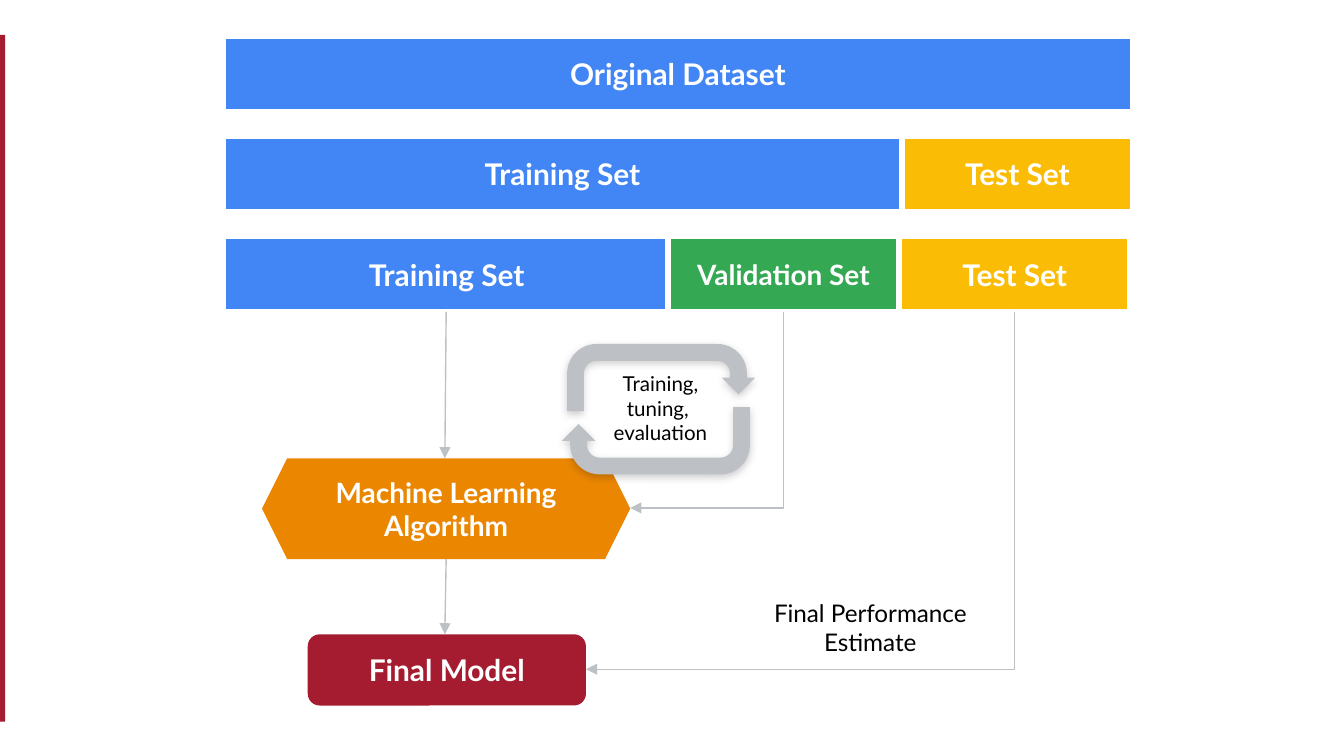
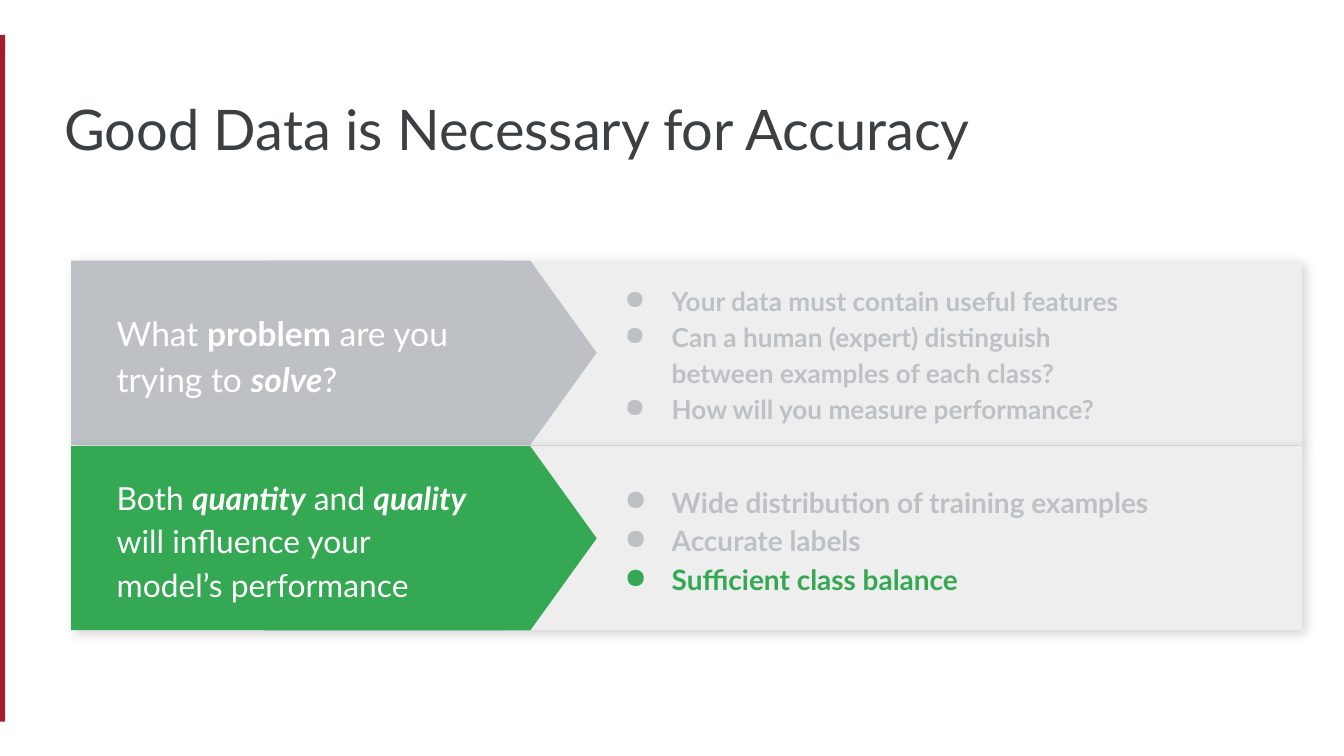
from lxml import etree
from pptx import Presentation
from pptx.dml.color import RGBColor
from pptx.enum.shapes import MSO_CONNECTOR, MSO_SHAPE
from pptx.enum.text import MSO_ANCHOR, PP_ALIGN
from pptx.oxml.ns import qn
from pptx.util import Inches, Pt

RECTANGLE = MSO_SHAPE.RECTANGLE
ROUNDED = MSO_SHAPE.ROUNDED_RECTANGLE
HEXAGON = MSO_SHAPE.HEXAGON
UTURN = MSO_SHAPE.U_TURN_ARROW
POINTER = MSO_SHAPE.FLOWCHART_OFFPAGE_CONNECTOR
STRAIGHT, ELBOW = MSO_CONNECTOR.STRAIGHT, MSO_CONNECTOR.ELBOW
LEFT, CENTER = PP_ALIGN.LEFT, PP_ALIGN.CENTER
TOP, MIDDLE = MSO_ANCHOR.TOP, MSO_ANCHOR.MIDDLE

COLUMNS, ROWS = 100, 56.25
BLUE, YELLOW, GREEN, ORANGE = "4285F4", "FBBC05", "34A853", "EA8600"
CRIMSON, GRAY, PALE, DARK = "A51C30", "BDC1C6", "EEEEEE", "3C4043"
WHITE, BLACK = "FFFFFF", "000000"

# opacity in percent, blur and distance in points, direction in degrees
ARROW_SHADOW = (20, 4.5, 1.5, 90)
PANEL_SHADOW = (17, 5.6, 2.2, 45)


def color(value):
    return RGBColor.from_string(value)


def child(parent, tag, **attributes):
    values = {name: str(value) for name, value in attributes.items()}
    return etree.SubElement(parent, qn(tag), values)


class Board:
    """Holds the shared style and the slide being drawn, on a 100-column grid."""

    font = "Lato"

    def __init__(self):
        self.deck = Presentation()
        self.deck.slide_width = Inches(10)
        self.deck.slide_height = Inches(5.625)
        self.page = None

    def x(self, columns):
        return round(self.deck.slide_width * columns / COLUMNS)

    def y(self, rows):
        return round(self.deck.slide_height * rows / ROWS)

    def place(self, left, top, width, height):
        return self.x(left), self.y(top), self.x(width), self.y(height)

    def new_page(self):
        self.page = self.deck.slides.add_slide(self.deck.slide_layouts[6])
        self.shape(RECTANGLE, (-0.2, 2.6, 0.6, 51.1), CRIMSON)

    def shape(self, kind, area, fill, outline=None, shadow=None, rotation=0):
        box = self.page.shapes.add_shape(kind, *self.place(*area))
        box.rotation = rotation
        box.fill.solid()
        box.fill.fore_color.rgb = color(fill)
        if outline:
            box.line.color.rgb = color(outline)
            box.line.width = Pt(3)
        else:
            box.line.fill.background()
        box.shadow.inherit = False
        if shadow:
            self.cast_shadow(box, *shadow)
        return box

    def cast_shadow(self, box, opacity, blur, distance, direction):
        effects = box.element.spPr.find(qn("a:effectLst"))
        outer = child(effects, "a:outerShdw", blurRad=Pt(blur), dist=Pt(distance),
                      dir=direction * 60000, algn="bl", rotWithShape=0)
        tint = child(outer, "a:srgbClr", val=BLACK)
        child(tint, "a:alpha", val=opacity * 1000)

    def label(self, kind, area, fill, text, size=16, outline=None):
        box = self.shape(kind, area, fill, outline)
        self.set_text(box, [text], size, WHITE, CENTER, bold=True)

    def text(self, area, paragraphs, size, ink, align=LEFT, **style):
        box = self.page.shapes.add_textbox(*self.place(*area))
        self.set_text(box, paragraphs, size, ink, align, **style)

    def set_text(self, box, paragraphs, size, ink, align, bold=None, spacing=None,
                 anchor=MIDDLE, bullets=False):
        """Each paragraph is a string or a list of (text, style) spans,
        where the style is "", "b" or "bi"; ink is one colour or one for each."""
        frame = box.text_frame
        frame.word_wrap = True
        frame.vertical_anchor = anchor
        frame.margin_left = frame.margin_right = Inches(0.1)
        frame.margin_top = frame.margin_bottom = Inches(0.1)
        inks = [ink] * len(paragraphs) if isinstance(ink, str) else ink
        for index, (content, tone) in enumerate(zip(paragraphs, inks)):
            para = frame.add_paragraph() if index else frame.paragraphs[0]
            para.alignment = align
            if spacing:
                para.line_spacing = spacing
            if bullets:
                self.bullet(para, tone)
            para.font.name = self.font
            para.font.size = Pt(size)
            para.font.bold = bold
            para.font.color.rgb = color(tone)
            if isinstance(content, str):
                para.text = content
                continue
            for words, style in content:
                span = para.add_run()
                span.text = words
                if style:
                    span.font.bold = "b" in style
                    span.font.italic = "i" in style

    def bullet(self, para, tone):
        properties = para._p.get_or_add_pPr()
        properties.set("marL", str(Inches(0.5)))
        properties.set("indent", str(Inches(-0.35)))
        child(child(properties, "a:buClr"), "a:srgbClr", val=tone)
        child(properties, "a:buChar", char="●")

    def arrow(self, start, end, kind=STRAIGHT):
        (x1, y1), (x2, y2) = start, end
        line = self.page.shapes.add_connector(
            kind, self.x(x1), self.y(y1), self.x(x2), self.y(y2))
        line.line.color.rgb = color(GRAY)
        line.line.width = Pt(0.75)
        properties = line.element.spPr
        child(properties.find(qn("a:ln")), "a:tailEnd", type="triangle")
        child(properties, "a:effectLst")
        return line

    def down_left_arrow(self, start, end):
        """One bend: straight down from start, then left to end."""
        (x1, y1), (x2, y2) = start, end
        run, drop = x1 - x2, y2 - y1
        left, top = (x1 + x2 - drop) / 2, (y1 + y2 - run) / 2
        line = self.arrow((left, top), (left + drop, top + run), ELBOW)
        properties = line.element.spPr
        properties.find(qn("a:xfrm")).set("rot", str(90 * 60000))
        properties.find(qn("a:prstGeom")).set("prst", "bentConnector2")


def draw_data_split(board):
    board.new_page()
    left, bar_height, row_step, small = 16.6, 5.6, 7.45, 17.2
    bars = [
        (0, left, 67.7, BLUE, "Original Dataset", 16),
        (1, left, 50.5, BLUE, "Training Set", 16),
        (1, 67.1, small, YELLOW, "Test Set", 16),
        (2, left, 33.3, BLUE, "Training Set", 16),
        (2, 66.9, small, YELLOW, "Test Set", 16),
        (2, 49.7, small, GREEN, "Validation Set", 15),
    ]
    for row, start, width, fill, name, size in bars:
        area = (start, 2.7 + row * row_step, width, bar_height)
        board.label(RECTANGLE, area, fill, name, size, WHITE)

    board.label(HEXAGON, (19.5, 34.1, 27.4, 7.5), ORANGE,
                "Machine Learning Algorithm", 15)
    board.label(ROUNDED, (22.9, 47.2, 20.7, 5.3), CRIMSON, "Final Model")
    for start, top, rotation in [(42.2, 25.6, 0), (41.8, 30.3, 180)]:
        board.shape(UTURN, (start, top, 14, 5), GRAY,
                    shadow=ARROW_SHADOW, rotation=rotation)
    board.text((43.3, 27.7, 11.7, 5.3), ["Training, tuning, ", "evaluation"],
               11, BLACK, CENTER)
    board.text((54.4, 44, 20.7, 5.3), ["Final Performance Estimate"],
               13, BLACK, CENTER)

    bars_bottom = 23.2
    board.arrow((33.2, bars_bottom), (33.1, 34.1))
    board.arrow((33.2, 41.6), (33.1, 47.2))
    board.down_left_arrow((75.5, bars_bottom), (43.6, 49.8))
    board.down_left_arrow((58.3, bars_bottom), (46.9, 37.8))


def draw_good_data(board):
    board.new_page()
    board.text((3.8, 6.6, 85.3, 5.9), ["Good Data is Necessary for Accuracy"],
               30, DARK, spacing=0.9, anchor=TOP)
    left, first_top, height, step = 5.3, 19.4, 13.7, 13.8
    pointer_length, pointer_tip = 24.7, 44.4
    panels = [
        (GRAY, 18,
         [[("What ", ""), ("problem", "b"), (" are you", "")],
          [("trying to ", ""), ("solve", "bi"), ("?", "")]],
         14,
         ["Your data must contain useful features",
          "Can a human (expert) distinguish\vbetween examples of each class?",
          "How will you measure performance?"],
         [GRAY] * 3),
        (GREEN, 17,
         [[("Both ", ""), ("quantity", "bi"), (" and ", ""), ("quality", "bi")],
          "will influence your",
          "model’s performance"],
         15,
         ["Wide distribution of training examples",
          "Accurate labels",
          "Sufficient class balance"],
         [GRAY, GRAY, GREEN]),
    ]
    for index, (fill, size, question, point_size, points, inks) in enumerate(panels):
        top = first_top + index * step
        board.shape(RECTANGLE, (left, top, 91.6, height), PALE, shadow=PANEL_SHADOW)
        board.shape(RECTANGLE, (left, top, 32.1, height), fill)
        pointer = (pointer_tip - (pointer_length + height) / 2,
                   top + (height - pointer_length) / 2, height, pointer_length)
        board.shape(POINTER, pointer, fill, rotation=270)
        board.text((7.7, top + 1.6, 33.7, 10.5), question, size, WHITE, spacing=1.15)
        board.text((44, top, 51.7, height), points, point_size, inks,
                   bold=True, spacing=1.15, bullets=True)


def main():
    board = Board()
    draw_data_split(board)
    draw_good_data(board)
    board.deck.save("out.pptx")


if __name__ == "__main__":
    main()
